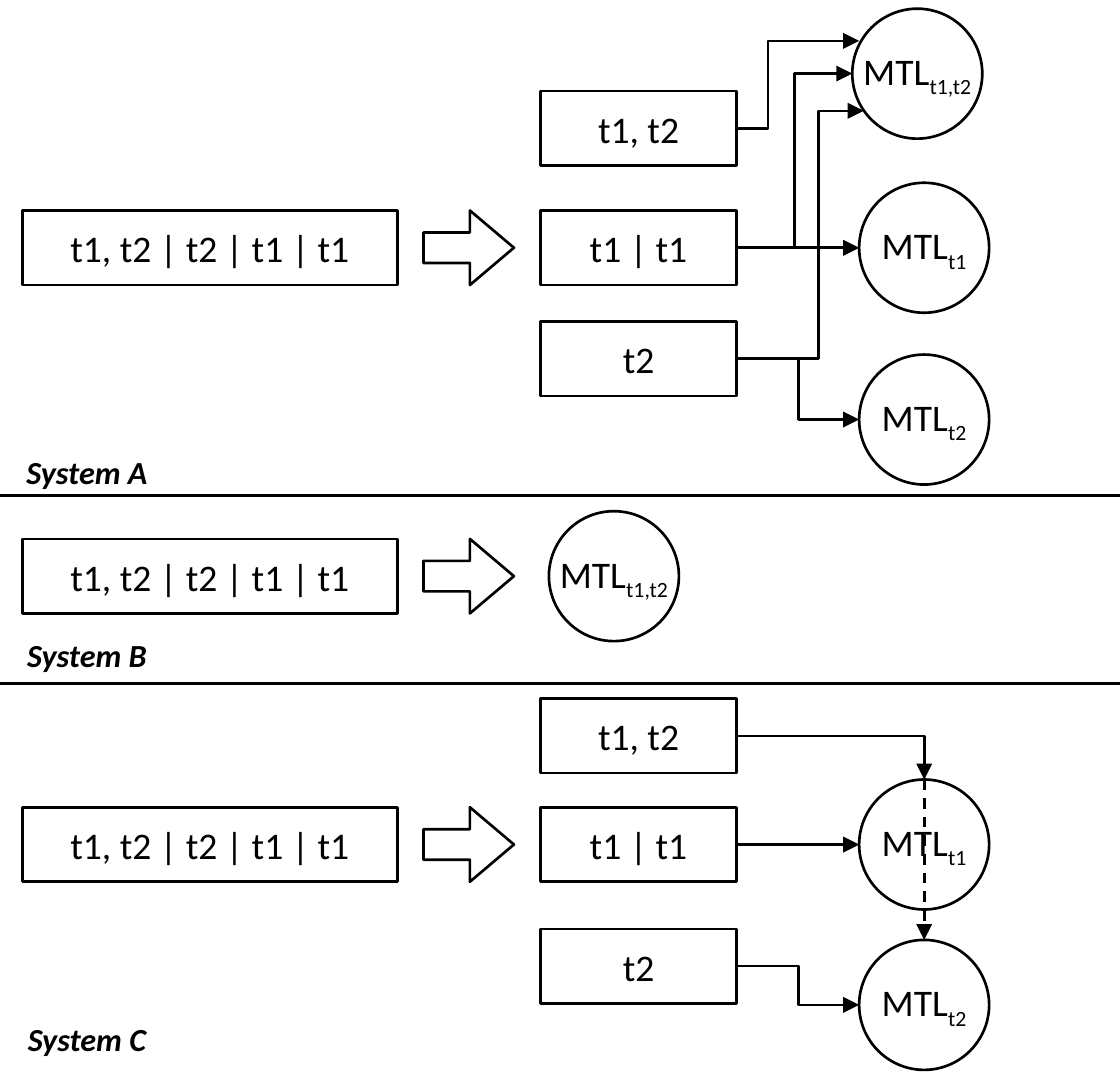
from pptx import Presentation
from pptx.dml.color import RGBColor
from pptx.enum.dml import MSO_LINE
from pptx.enum.shapes import MSO_CONNECTOR as CONN, MSO_SHAPE as SHAPE
from pptx.enum.text import MSO_ANCHOR, PP_ALIGN
from pptx.oxml.ns import qn
from pptx.util import Cm, Pt
from lxml import etree

BLACK = RGBColor(0, 0, 0)
WHITE = RGBColor(255, 255, 255)

WIDTH, HEIGHT = 14.73, 14.22
BOX_H, CIRCLE_D = 0.98, 1.71
BOX_X, BOX_W = 7.11, 2.58
BOX_RIGHT = BOX_X + BOX_W
MODEL_X = 11.3
MODEL_MID = MODEL_X + CIRCLE_D / 2

prs = Presentation()
prs.slide_width, prs.slide_height = Cm(WIDTH), Cm(HEIGHT)
s = prs.slides.add_slide(prs.slide_layouts[6])


def add_node(kind, x, mid_y, w, h, text="", sub=""):
    """Outlined shape centred on mid_y, with an optional subscript."""
    sp = s.shapes.add_shape(kind, Cm(x), Cm(mid_y - h / 2), Cm(w), Cm(h))
    sp.shadow.inherit = False
    sp.fill.background()
    sp.line.color.rgb = BLACK
    sp.line.width = Pt(1)
    tf = sp.text_frame
    tf.vertical_anchor = MSO_ANCHOR.MIDDLE
    p = tf.paragraphs[0]
    p.alignment = PP_ALIGN.CENTER
    p.font.name, p.font.size, p.font.color.rgb = "Calibri", Pt(14), BLACK
    if text:
        p.add_run().text = text
    if sub:
        tf.word_wrap = False
        tf.margin_left = tf.margin_right = tf.margin_top = tf.margin_bottom = 0
        r = p.add_run()
        r.text = sub
        r.font._element.set("baseline", "-25000")
    return sp


def add_line(x1, y1, x2, y2, bend=None, corner=False, arrow=True):
    """Straight line, elbow turning at x = bend, or a single corner."""
    kind = CONN.ELBOW if bend or corner else CONN.STRAIGHT
    c = s.shapes.add_connector(kind, Cm(x1), Cm(y1), Cm(x2), Cm(y2))
    c.line.color.rgb = BLACK
    c.line.width = Pt(1)
    spPr = c._element.spPr
    geom = spPr.find(qn("a:prstGeom"))
    if corner:
        geom.set("prst", "bentConnector2")
    if bend:
        ratio = round((bend - x1) / (x2 - x1) * 100000)
        guide = etree.SubElement(geom.find(qn("a:avLst")), qn("a:gd"))
        guide.set("name", "adj1")
        guide.set("fmla", f"val {ratio}")
    if arrow:
        etree.SubElement(c.line._get_or_add_ln(), qn("a:tailEnd")).set("type", "triangle")
    etree.SubElement(spPr, qn("a:effectLst"))
    return c


# Input sequence and block arrow of each system
MID_A, MID_B, MID_C = 3.26, 7.58, 11.11
for mid_y in (MID_A, MID_B, MID_C):
    add_node(SHAPE.RECTANGLE, 0.3, mid_y, 4.93, BOX_H, "t1, t2 | t2 | t1 | t1")
    arrow = add_node(SHAPE.RIGHT_ARROW, 5.57, mid_y, 1.19, BOX_H)
    arrow.fill.solid()
    arrow.fill.fore_color.rgb = WHITE
    arrow.adjustments[0], arrow.adjustments[1] = 0.41, 0.59

# Split sequences of systems A and C
BOTH_A, T2_A = 1.69, 4.72
BOTH_C, T2_C = 9.68, 12.71
for both_y, t1_y, t2_y in ((BOTH_A, MID_A, T2_A), (BOTH_C, MID_C, T2_C)):
    for text, mid_y in (("t1, t2", both_y), ("t1 | t1", t1_y), ("t2", t2_y)):
        add_node(SHAPE.RECTANGLE, BOX_X, mid_y, BOX_W, BOX_H, text)

# Models
MTL_BOTH_X, MTL_BOTH_Y = 11.21, 0.97
MTL2_A, MTL2_C = 5.52, 13.22
for sub, x, mid_y in (
    ("t1,t2", MTL_BOTH_X, MTL_BOTH_Y),
    ("t1", MODEL_X, MID_A),
    ("t2", MODEL_X, MTL2_A),
    ("t1,t2", 7.22, MID_B),
    ("t1", MODEL_X, MID_C),
    ("t2", MODEL_X, MTL2_C),
):
    add_node(SHAPE.OVAL, x, mid_y, CIRCLE_D, CIRCLE_D, "MTL", sub)

# Arrows from the split sequences to the models
for y1, x2, y2, bend in (
    (BOTH_A, MODEL_X, 0.54, 10.1),
    (MID_A, MODEL_X, MID_A, None),
    (MID_A, MTL_BOTH_X, MTL_BOTH_Y, 10.45),
    (T2_A, MODEL_X, MTL2_A, 10.5),
    (T2_A, 11.36, 1.46, 10.77),
    (MID_C, MODEL_X, MID_C, None),
    (T2_C, MODEL_X, MTL2_C, 10.5),
):
    add_line(BOX_RIGHT, y1, x2, y2, bend)

MTL1_TOP = MID_C - CIRCLE_D / 2
add_line(BOX_RIGHT, BOTH_C, MODEL_MID, MTL1_TOP, corner=True)
dashed = add_line(MODEL_MID, MTL1_TOP, MODEL_MID, MTL2_C - CIRCLE_D / 2)
dashed.line.dash_style = MSO_LINE.DASH

# Separators and system names
for y in (6.52, 8.99):
    add_line(0, y, WIDTH, y, arrow=False)

for name, y in (("System A", 5.87), ("System B", 8.28), ("System C", 13.34)):
    tf = s.shapes.add_textbox(0, Cm(y), Cm(2.29), Cm(0.66)).text_frame
    tf.word_wrap = True
    tf.vertical_anchor = MSO_ANCHOR.MIDDLE
    p = tf.paragraphs[0]
    p.text = name
    p.alignment = PP_ALIGN.CENTER
    p.font.name, p.font.size, p.font.color.rgb = "Calibri", Pt(12), BLACK
    p.font.bold = p.font.italic = True

prs.save("out.pptx")
